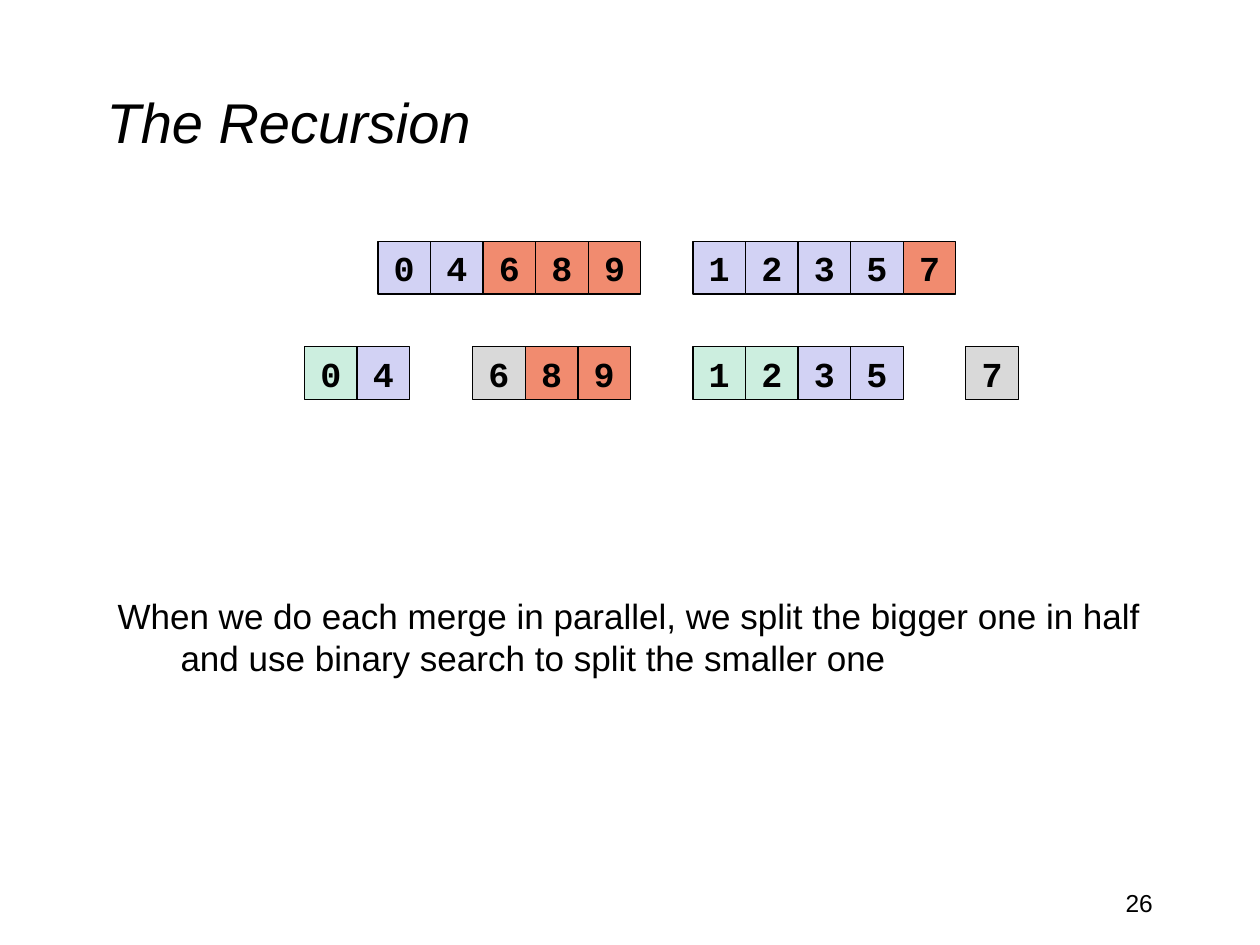
from dataclasses import dataclass

from pptx import Presentation, util as u
from pptx.dml.color import RGBColor
from pptx.enum import shapes, text


@dataclass(frozen=True)
class Theme:
    ink: str = "000000"
    low: str = "D2D2F4"
    high: str = "F18B6F"
    small: str = "CCEEDF"
    pivot: str = "D9D9D9"
    sans: str = "Arial"
    mono: str = "Courier New"
    title_size: int = 32
    body_size: int = 20
    number_size: int = 14


@dataclass(frozen=True)
class Run:
    left: float
    top: float
    digits: str
    fills: tuple


T = Theme()
CELL = 1.06
TOP_ROW, SPLIT_ROW = 4.87, 6.99
RUNS = [
    Run(7.62, TOP_ROW, "04689", (T.low,) * 2 + (T.high,) * 3),
    Run(13.97, TOP_ROW, "12357", (T.low,) * 4 + (T.high,)),
    Run(6.14, SPLIT_ROW, "04", (T.small, T.low)),
    Run(9.53, SPLIT_ROW, "689", (T.pivot, T.high, T.high)),
    Run(13.97, SPLIT_ROW, "1235", (T.small,) * 2 + (T.low,) * 2),
    Run(19.47, SPLIT_ROW, "7", (T.pivot,)),
]


def put_text(sp, content: str, *, size: int, font: str = T.sans,
             bold: bool = False, italic: bool = False, wrap: bool = True,
             align=text.PP_ALIGN.LEFT, anchor=text.MSO_ANCHOR.TOP):
    tf = sp.text_frame
    tf.word_wrap = wrap
    tf.vertical_anchor = anchor
    p = tf.paragraphs[0]
    p.alignment = align
    r = p.add_run()
    r.text = content
    r.font.name = font
    r.font.size = u.Pt(size)
    r.font.bold = bold
    r.font.italic = italic
    r.font.color.rgb = RGBColor.from_string(T.ink)
    return p


def add_box(s, left: float, top: float, width: float, height: float):
    return s.shapes.add_textbox(u.Cm(left), u.Cm(top), u.Cm(width), u.Cm(height))


def draw_run(s, run: Run) -> None:
    for i, (digit, fill) in enumerate(zip(run.digits, run.fills)):
        sp = s.shapes.add_shape(shapes.MSO_SHAPE.RECTANGLE,
                                u.Cm(run.left + i * CELL), u.Cm(run.top),
                                u.Cm(CELL), u.Cm(CELL))
        sp.shadow.inherit = False
        sp.fill.solid()
        sp.fill.fore_color.rgb = RGBColor.from_string(fill)
        sp.line.color.rgb = RGBColor.from_string(T.ink)
        sp.line.width = u.Pt(0.75)
        put_text(sp, digit, size=T.body_size, font=T.mono, bold=True, wrap=False,
                 align=text.PP_ALIGN.CENTER, anchor=text.MSO_ANCHOR.MIDDLE)


def main() -> None:
    prs = Presentation()
    prs.slide_width, prs.slide_height = u.Cm(25.4), u.Cm(19.05)
    s = prs.slides.add_slide(prs.slide_layouts[6])

    put_text(add_box(s, 1.9, 0.85, 21.59, 3.18), "The Recursion",
             size=T.title_size, italic=True, anchor=text.MSO_ANCHOR.MIDDLE)
    for run in RUNS:
        draw_run(s, run)

    p = put_text(add_box(s, 2.12, 11.85, 22.01, 4.87),
                 "When we do each merge in parallel, we split the bigger one in half "
                 "and use binary search to split the smaller one", size=T.body_size)
    p.space_before = u.Pt(2)
    pPr = p._p.get_or_add_pPr()
    pPr.set("marL", str(u.Cm(1.27)))
    pPr.set("indent", str(-u.Cm(1.27)))

    put_text(add_box(s, 18.2, 17.78, 5.29, 1.27), "26",
             size=T.number_size, align=text.PP_ALIGN.RIGHT)
    prs.save("out.pptx")


if __name__ == "__main__":
    main()
